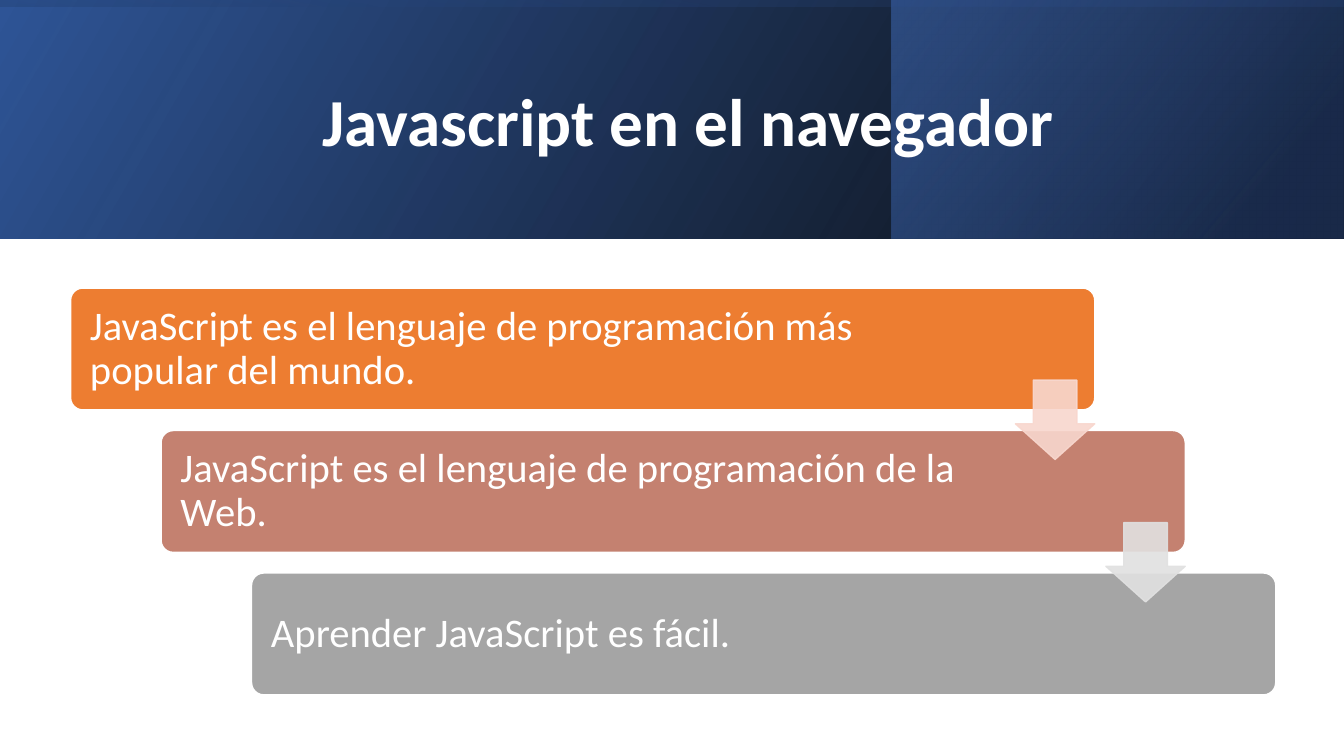
from dataclasses import dataclass

from lxml import etree
from pptx import Presentation
from pptx.dml.color import RGBColor
from pptx.enum.shapes import MSO_SHAPE
from pptx.enum.text import MSO_ANCHOR, MSO_AUTO_SIZE, PP_ALIGN
from pptx.oxml.ns import qn
from pptx.util import Cm, Pt

RECT = MSO_SHAPE.RECTANGLE
ROUND = MSO_SHAPE.ROUNDED_RECTANGLE
DOWN = MSO_SHAPE.DOWN_ARROW
MIDDLE = MSO_ANCHOR.MIDDLE
FIXED = MSO_AUTO_SIZE.NONE
LEFT, CENTER = PP_ALIGN.LEFT, PP_ALIGN.CENTER


@dataclass(frozen=True)
class Theme:
    """Hold the colours and type sizes of the slide."""
    font: str = "Calibri"
    title: int = 48
    body: int = 29
    white: str = "FFFFFF"
    black: str = "000000"
    navy: str = "203864"
    deep: str = "2F5597"
    blue: str = "4472C4"
    cards: tuple = ("ED7D31", "C48170", "A5A5A5")
    arrows: tuple = ("F8D7CE", "E1E1E1")


THEME = Theme()
WIDE, HIGH, BAND = 33.87, 19.05, 6.02
STEPS = (
    "JavaScript es el lenguaje de programación más popular del mundo.",
    "JavaScript es el lenguaje de programación de la Web.",
    "Aprender JavaScript es fácil.",
)


def fade(fill, alpha):
    """Set the opacity in percent of a colour that holds an srgbClr."""
    color = fill.find(".//" + qn("a:srgbClr"))
    etree.SubElement(color, qn("a:alpha")).set("val", str(alpha * 1000))


def add_form(slide, kind, box):
    """Add a preset shape without shadow in a box given in centimetres."""
    shape = slide.shapes.add_shape(kind, *map(Cm, box))
    shape.shadow.inherit = False
    return shape


def add_wash(slide, box, stops, angle, turn=0):
    """Add a mirrored rectangle with a two-stop clear gradient."""
    shape = add_form(slide, RECT, box)
    shape.rotation = turn
    shape.line.fill.background()
    shape.fill.gradient()
    shape.fill.gradient_angle = angle
    for stop, (place, color, alpha) in zip(shape.fill.gradient_stops, stops):
        stop.position = place
        stop.color.rgb = RGBColor.from_string(color)
        fade(stop._gs, alpha)
    shape._element.spPr.find(qn("a:xfrm")).set("flipH", "1")


def set_text(frame, text, size, align, bold=False):
    """Write one white paragraph, centred in height, into a text frame."""
    frame.text = text
    frame.word_wrap = True
    frame.auto_size = FIXED
    frame.vertical_anchor = MIDDLE
    line = frame.paragraphs[0]
    line.alignment = align
    line.line_spacing = 0.9
    font = line.runs[0].font
    font.name, font.size, font.bold = THEME.font, Pt(size), bold
    font.color.rgb = RGBColor.from_string(THEME.white)


def add_header(slide, box):
    """Layer the gradients of the header band and set the title on top."""
    left, top, width, height = box
    add_wash(slide, box, ((0, THEME.black, 96), (1, THEME.deep, 100 - 4 + 4)), 30)
    side = 11.4
    add_wash(slide, (left + width - side, top, side, height),
             ((0.19, THEME.navy, 68), (1, THEME.blue, 48)), 40)
    shift = (width - height) / 2
    add_wash(slide, (left + shift, top - shift, height, width),
             ((0.23, THEME.deep, 16), (0.99, THEME.black, 45)), 10, 270)
    title = slide.shapes.title
    title.left, title.top = Cm(left + 3.84), Cm(top + 0.97)
    title.width, title.height = Cm(27), Cm(4.37)
    set_text(title.text_frame, "Javascript en el navegador", THEME.title, CENTER, True)
    slide.shapes._spTree.append(title._element)


def add_card(slide, box, text, color):
    """Add a rounded card with its text at the left."""
    card = add_form(slide, ROUND, box)
    card.adjustments[0] = 0.1
    card.fill.solid()
    card.fill.fore_color.rgb = RGBColor.from_string(color)
    card.line.color.rgb = RGBColor.from_string(THEME.white)
    card.line.width = Pt(1)
    frame = card.text_frame
    frame.margin_left, frame.margin_right = Cm(0.4), Cm(4.67)
    set_text(frame, text, THEME.body, LEFT)


def add_arrow(slide, box, color):
    """Add a slightly clear arrow that points down."""
    arrow = add_form(slide, DOWN, box)
    arrow.adjustments[0], arrow.adjustments[1] = 0.55, 0.45
    arrow.fill.solid()
    arrow.line.width = Pt(1)
    arrow.fill.fore_color.rgb = RGBColor.from_string(color)
    arrow.line.color.rgb = RGBColor.from_string(color)
    props = arrow._element.spPr
    fade(props.find(qn("a:solidFill")), 90)
    fade(props.find(qn("a:ln")), 90)


def add_steps(slide, box):
    """Set the cards as a staircase in the box, with arrows between them."""
    left, top, width, height = box
    wide, high, size = 25.81, 3.07, 2
    last = len(STEPS) - 1
    over, down = (width - wide) / last, (height - high) / last
    spots = [(left + i * over, top + i * down) for i in range(len(STEPS))]
    for (x, y), text, color in zip(spots, STEPS, THEME.cards):
        add_card(slide, (x, y, wide, high), text, color)
    for (x, y), color in zip(spots, THEME.arrows):
        add_arrow(slide, (x + wide - size, y + 2.32, size, size), color)


def main():
    """Build the slide and save it."""
    deck = Presentation()
    deck.slide_width, deck.slide_height = Cm(WIDE), Cm(HIGH)
    slide = deck.slides.add_slide(deck.slide_layouts[5])
    add_header(slide, (0, 0, WIDE, BAND))
    add_steps(slide, (1.78, 7.26, 30.37, 10.25))
    deck.save("out.pptx")


if __name__ == "__main__":
    main()
